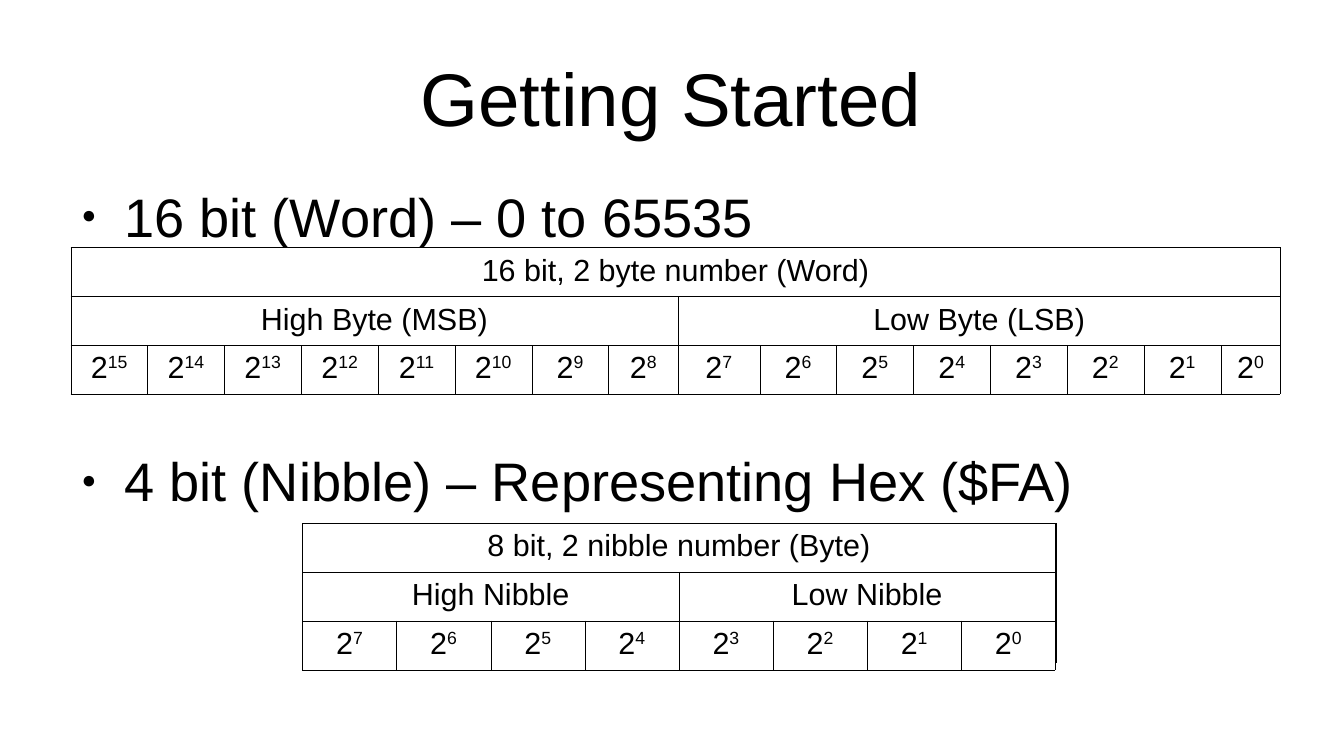
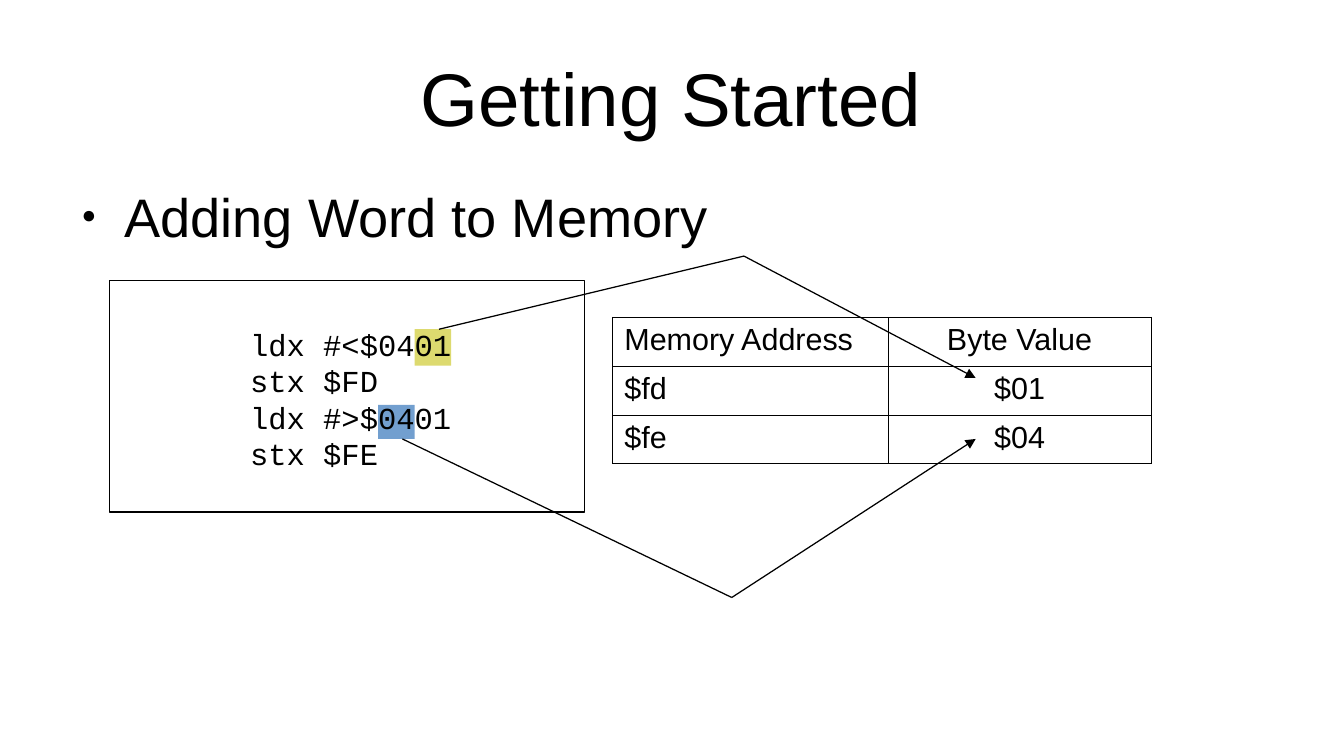
import lxml.etree
import pptx
import pptx.dml.color
import pptx.enum.shapes
import pptx.enum.text
import pptx.oxml
import pptx.oxml.ns
import pptx.util

# Shared look
INK, PAPER = "000000", "FFFFFF"
LOW_BYTE, HIGH_BYTE = "DDDA6F", "729FCF"
SANS, MONO = "Arial", "Courier New"
TITLE_SIZE, BODY_SIZE, TEXT_SIZE = 44, 32, 18
BORDER, STROKE = 0.06, 0.75
SLIDE_WIDTH, SLIDE_HEIGHT = 110.2, 62
MARGIN, CONTENT_WIDTH = 5.5, 99.1

CENTER = pptx.enum.text.PP_ALIGN.CENTER
LEFT = pptx.enum.text.PP_ALIGN.LEFT


def grid(steps):
    """Length of a number of grid steps, ten to the inch."""
    return pptx.util.Inches(steps / 10)


def box(*steps):
    return [grid(step) for step in steps]


def color(value):
    return pptx.dml.color.RGBColor.from_string(value)


def add_xml(parent, tag, **attributes):
    child = lxml.etree.SubElement(parent, pptx.oxml.ns.qn(tag))
    for key, value in attributes.items():
        child.set(key, str(value))
    return child


def format_runs(paragraph, size, font=SANS):
    for run in paragraph.runs:
        run.font.size = pptx.util.Pt(size)
        run.font.name = font
        run.font.color.rgb = color(INK)


def clear_insets(frame):
    frame.margin_left = frame.margin_right = 0
    frame.margin_top = frame.margin_bottom = 0
    frame.word_wrap = True


def add_titled_slide(deck, heading):
    slide = deck.slides.add_slide(deck.slide_layouts[5])
    title = slide.shapes.title
    title.left, title.top, title.width, title.height = box(
        MARGIN, 2.8, CONTENT_WIDTH, 10.3)
    frame = title.text_frame
    frame.text = heading
    clear_insets(frame)
    frame.vertical_anchor = pptx.enum.text.MSO_ANCHOR.MIDDLE
    frame.paragraphs[0].alignment = CENTER
    format_runs(frame.paragraphs[0], TITLE_SIZE)
    return slide


def add_bullets(slide, points, gap=0):
    body = slide.shapes.add_textbox(*box(MARGIN, 15, CONTENT_WIDTH, 35.9))
    frame = body.text_frame
    frame.text = "\n".join(points)
    clear_insets(frame)
    for index, paragraph in enumerate(frame.paragraphs):
        properties = paragraph._p.get_or_add_pPr()
        properties.set("marL", str(grid(4.7)))
        properties.set("indent", str(-grid(3.5)))
        add_xml(add_xml(properties, "a:buClr"), "a:srgbClr", val=INK)
        add_xml(properties, "a:buSzPct", val=45000)
        add_xml(properties, "a:buFont", typeface=SANS)
        add_xml(properties, "a:buChar", char="●")
        if index:
            paragraph.space_before = pptx.util.Pt(gap)
        format_runs(paragraph, BODY_SIZE)


def set_borders(cell):
    properties = cell._tc.get_or_add_tcPr()
    for position, side in enumerate(("a:lnL", "a:lnR", "a:lnT", "a:lnB")):
        edge = pptx.oxml.parse_xml(
            f'<{side} {pptx.oxml.ns.nsdecls("a")} w="{pptx.util.Pt(BORDER)}">'
            f'<a:solidFill><a:srgbClr val="{INK}"/></a:solidFill></{side}>')
        properties.insert(position, edge)


def fill_cell(cell, text, alignment):
    """Write a cell; what follows ^ becomes an exponent."""
    base, _, exponent = text.partition("^")
    paragraph = cell.text_frame.paragraphs[0]
    paragraph.text = base
    paragraph.alignment = alignment
    if exponent:
        power = paragraph.add_run()
        power.text = exponent
        power._r.get_or_add_rPr().set("baseline", "33000")
    format_runs(paragraph, TEXT_SIZE)


def add_grid_table(slide, left, top, widths, row_height, rows, first=CENTER):
    """Add a table; a row with fewer texts than columns gets equal spans."""
    table = slide.shapes.add_table(
        len(rows), len(widths),
        *box(left, top, sum(widths), row_height * len(rows))).table
    table.first_row = table.horz_banding = False
    for column, width in zip(table.columns, widths):
        column.width = grid(width)
    for row in table.rows:
        row.height = grid(row_height)
    for cell in table.iter_cells():
        cell.fill.solid()
        cell.fill.fore_color.rgb = color(PAPER)
        set_borders(cell)
    for row_index, texts in enumerate(rows):
        span = len(widths) // len(texts)
        for index, text in enumerate(texts):
            start = index * span
            cell = table.cell(row_index, start)
            if span > 1:
                cell.merge(table.cell(row_index, start + span - 1))
            fill_cell(cell, text, CENTER if index else first)


def add_line(slide, start, end, width=STROKE, arrow=False):
    line = slide.shapes.add_connector(
        pptx.enum.shapes.MSO_CONNECTOR.STRAIGHT, *box(*start, *end))
    line.line.color.rgb = color(INK)
    line.line.width = pptx.util.Pt(width)
    if arrow:
        add_xml(line.line._get_or_add_ln(), "a:tailEnd", type="triangle")
    add_xml(line._element.spPr, "a:effectLst")


def add_rectangle(slide, place, fill=None):
    rectangle = slide.shapes.add_shape(
        pptx.enum.shapes.MSO_SHAPE.RECTANGLE, *box(*place))
    rectangle.shadow.inherit = False
    if fill:
        rectangle.fill.solid()
        rectangle.fill.fore_color.rgb = color(fill)
        rectangle.line.fill.background()
    else:
        rectangle.fill.background()
        rectangle.line.color.rgb = color(INK)
        rectangle.line.width = pptx.util.Pt(STROKE)
    return rectangle


def add_code(slide, place, lines):
    frame = add_rectangle(slide, place).text_frame
    frame.text = "\n".join(lines)
    frame.vertical_anchor = pptx.enum.text.MSO_ANCHOR.TOP
    frame.margin_left, frame.margin_top = box(11.5, 3.7)
    for paragraph in frame.paragraphs:
        paragraph.alignment = LEFT
        paragraph.line_spacing = pptx.util.Pt(21.6)
        format_runs(paragraph, TEXT_SIZE, MONO)


def powers(bits):
    return [f"2^{bit}" for bit in reversed(range(bits))]


def build_number_sizes(deck):
    slide = add_titled_slide(deck, "Getting Started")
    add_bullets(slide, ["16 bit (Word) – 0 to 65535",
                        "4 bit (Nibble) – Representing Hex ($FA)"], gap=118)

    # Word and byte layouts
    word_widths = [6.3] * 7 + [5.7, 6.7] + [6.3] * 6 + [4.9]
    add_grid_table(slide, 5.8, 20.3, word_widths, 3.9, [
        ["16 bit, 2 byte number (Word)"],
        ["High Byte (MSB)", "Low Byte (LSB)"],
        powers(16)])
    add_grid_table(slide, 24.8, 42.9, [7.72] * 8, 3.83, [
        ["8 bit, 2 nibble number (Byte)"],
        ["High Nibble", "Low Nibble"],
        powers(8)])

    # Right edges
    add_line(slide, (105, 32.1), (105, 20.3), width=0.79)
    add_line(slide, (86.6, 54.4), (86.6, 42.9), width=0.79)


def build_word_in_memory(deck):
    slide = add_titled_slide(deck, "Getting Started")
    add_bullets(slide, ["Adding Word to Memory"])

    # Code with its marked bytes
    add_rectangle(slide, (34, 27, 3, 3), LOW_BYTE)
    add_rectangle(slide, (31, 33.2, 3, 2.8), HIGH_BYTE)
    add_code(slide, (9, 23, 38.9, 19), [
        "ldx #<$0401", "stx $FD", "ldx #>$0401", "stx $FE"])

    # Memory contents
    add_grid_table(slide, 50.2, 26, [22.6, 21.6], 3.83, [
        ["Memory Address", "Byte Value"],
        ["$fd", "$01"],
        ["$fe", "$04"]], first=LEFT)

    # Paths from the bytes to memory
    for source, bend, target in (((36, 27), (61, 21), (80, 31)),
                                 ((33, 36), (60, 49), (80, 36))):
        add_line(slide, source, bend)
        add_line(slide, bend, target, arrow=True)


def main():
    deck = pptx.Presentation()
    deck.slide_width, deck.slide_height = box(SLIDE_WIDTH, SLIDE_HEIGHT)
    build_number_sizes(deck)
    build_word_in_memory(deck)
    deck.save("out.pptx")


if __name__ == "__main__":
    main()
